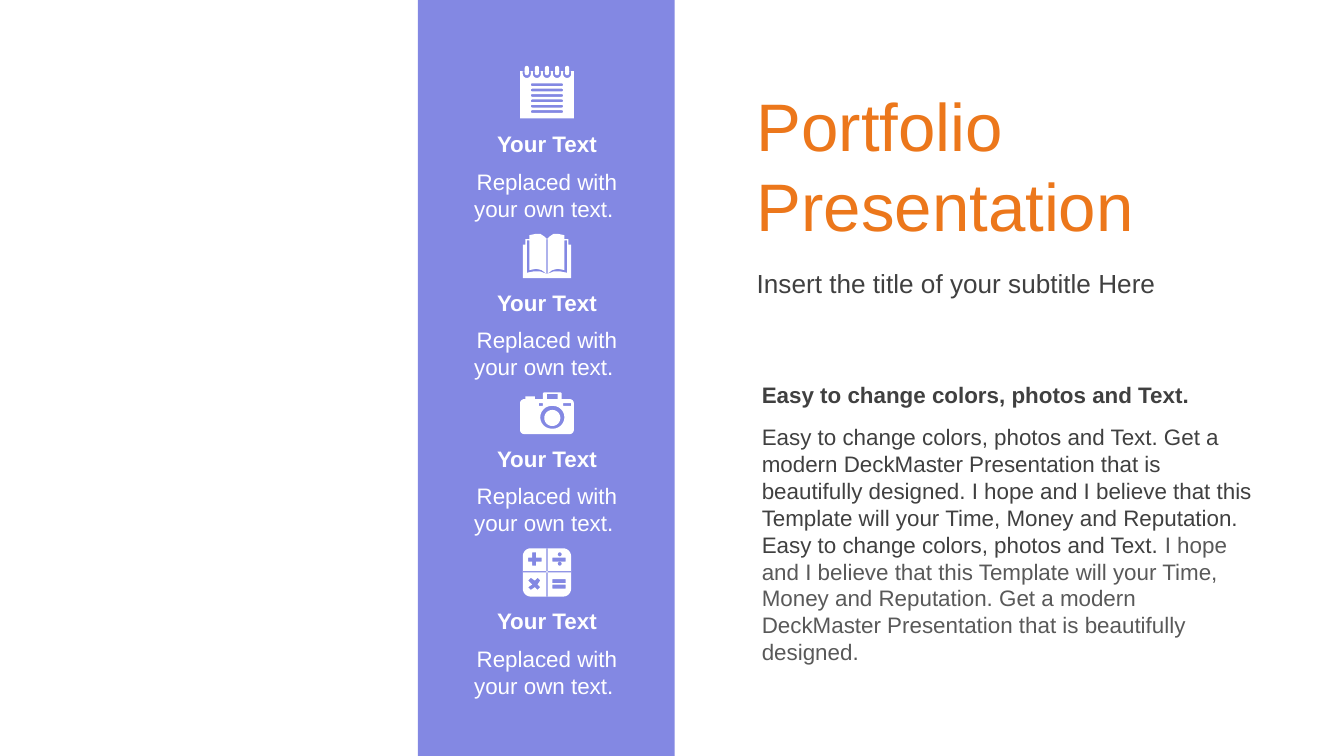
from math import cos, pi, sin

from pptx import Presentation
from pptx.dml.color import RGBColor
from pptx.enum import shapes, text
from pptx.util import Inches, Pt

PANEL, WHITE, ORANGE = "8388E3", "FFFFFF", "EC771B"
DARK, GRAY = "404040", "595959"
color = RGBColor.from_string


def rounded_box(left, top, width, height, radius=0, top_radius=None):
    """Outline points of a box; a full radius makes a circle."""
    if top_radius is None:
        top_radius = radius
    points = []
    for corner, r in enumerate((radius, radius, top_radius, top_radius)):
        x = left + width - r if corner in (0, 3) else left + r
        y = top + height - r if corner < 2 else top + r
        for step in range(7 if r else 1):
            angle = (corner + step / 6) * pi / 2
            points.append((x + r * cos(angle), y + r * sin(angle)))
    return points


def write(shape, box, runs, **settings):
    """Place a text shape and fill it with (wording, colour) runs."""
    shape.left, shape.top, shape.width, shape.height = [Inches(v) for v in box]
    frame = shape.text_frame
    frame.word_wrap = True
    frame.auto_size = text.MSO_AUTO_SIZE.NONE
    frame.vertical_anchor = settings.pop("anchor", text.MSO_ANCHOR.TOP)
    paragraph = frame.paragraphs[0]
    paragraph.alignment = settings.pop("align", text.PP_ALIGN.LEFT)
    paragraph.space_before = Pt(0)
    for wording, run_color in runs:
        run = paragraph.add_run()
        run.text = wording
        for name, value in {"name": "Arial", "size": Pt(12), "bold": False, **settings}.items():
            setattr(run.font, name, value)
        run.font.color.rgb = color(run_color)


# Widescreen 16:9 slide
presentation = Presentation()
presentation.slide_width = Inches(10)
presentation.slide_height = Inches(10 * 9 / 16)
slide = presentation.slides.add_slide(presentation.slide_layouts[0])

# Title and subtitle
title, subtitle = slide.placeholders
write(title, (5.53, 0.51, 3.9, 1.43), [("Portfolio Presentation", ORANGE)],
      size=Pt(36), anchor=text.MSO_ANCHOR.MIDDLE)
write(subtitle, (5.53, 1.95, 3.9, 0.31), [("Insert the title of your subtitle Here", DARK)],
      size=Pt(14), anchor=text.MSO_ANCHOR.MIDDLE)

# Coloured panel
panel = slide.shapes.add_shape(shapes.MSO_SHAPE.RECTANGLE, Inches(3.11), 0,
                               Inches(1.91), presentation.slide_height)
panel.shadow.inherit = False
panel.fill.solid()
panel.fill.fore_color.rgb = color(PANEL)
panel.line.fill.background()

# Icon outlines: an outline inside another one cuts a hole
center = 4.07

notebook = [rounded_box(3.87, 0.53, 0.4, 0.35)]
for line in range(6):
    notebook.append(rounded_box(3.95, 0.62 + 0.04 * line, 0.24, 0.02, 0.01))
for ring in range(-2, 3):
    x = center + 0.075 * ring
    notebook.append(rounded_box(x - 0.03, 0.53, 0.06, 0.05, 0.03, top_radius=0))
    notebook.append(rounded_box(x - 0.015, 0.49, 0.03, 0.07, 0.015))

half_cover = [(4.07, 1.78), (4.09, 1.76), (4.12, 1.74), (4.15, 1.74), (4.2, 1.75), (4.2, 1.78),
              (4.23, 1.78), (4.23, 1.82), (4.25, 1.82), (4.25, 2.07), (4.07, 2.07)]
page_edge = [(4.2, 1.79), (4.22, 1.79), (4.22, 2.03), (4.17, 2.02), (4.12, 2.02),
             (4.07, 2.04), (4.11, 2.01), (4.15, 2), (4.2, 2.01)]
mirrored_cover, mirrored_edge = [[(2 * center - x, y) for x, y in side]
                                 for side in (half_cover, page_edge)]
book = [half_cover + mirrored_cover[::-1], page_edge, mirrored_edge,
        rounded_box(center - 0.005, 1.78, 0.01, 0.26)]

camera = [
    rounded_box(3.87, 2.97, 0.4, 0.26, 0.03),
    rounded_box(3.91, 2.95, 0.07, 0.02),
    rounded_box(4.04, 2.92, 0.14, 0.05, 0, top_radius=0.01),
    rounded_box(4.07, 2.93, 0.08, 0.04),
    rounded_box(4.02, 3.02, 0.18, 0.17, 0.085),
    rounded_box(4.05, 3.05, 0.12, 0.12, 0.06),
    rounded_box(4.01, 3, 0.03, 0.02),
    rounded_box(4.19, 3, 0.06, 0.02),
]

plus = [(3.96, 4.11), (3.99, 4.11), (3.99, 4.15), (4.03, 4.15), (4.03, 4.18), (3.99, 4.18),
        (3.99, 4.21), (3.96, 4.21), (3.96, 4.18), (3.93, 4.18), (3.93, 4.15), (3.96, 4.15)]
times = [(3.95, 4.3), (3.98, 4.32), (4, 4.3), (4.02, 4.32), (4, 4.35), (4.02, 4.37),
         (4, 4.39), (3.98, 4.37), (3.95, 4.39), (3.93, 4.37), (3.96, 4.35), (3.93, 4.32)]
calculator = [
    rounded_box(3.89, 4.08, 0.36, 0.36, 0.06),
    rounded_box(center - 0.005, 4.08, 0.01, 0.36),
    rounded_box(3.89, 4.25, 0.36, 0.01),
    plus, times,
    rounded_box(4.11, 4.15, 0.1, 0.03),
    rounded_box(4.15, 4.11, 0.03, 0.03, 0.015),
    rounded_box(4.15, 4.18, 0.03, 0.03, 0.015),
    rounded_box(4.11, 4.31, 0.1, 0.03),
    rounded_box(4.11, 4.35, 0.1, 0.03),
]

# Icons with their captions
for outlines, caption_top in ((notebook, 0.92), (book, 2.1), (camera, 3.26), (calculator, 4.47)):
    builder = None
    for outline in outlines:
        start, *others = [(Inches(x), Inches(y)) for x, y in outline]
        if builder is None:
            builder = slide.shapes.build_freeform(*start)
        else:
            builder.move_to(*start)
        builder.add_line_segments(others, close=True)
    icon = builder.convert_to_shape()
    icon.shadow.inherit = False
    icon.fill.solid()
    icon.fill.fore_color.rgb = color(WHITE)
    icon.line.fill.background()

    caption = slide.shapes.add_group_shape().shapes
    write(caption.add_textbox(0, 0, 0, 0), (3.41, caption_top + 0.28, 1.32, 0.5),
          [("Replaced with your own text. ", WHITE)], align=text.PP_ALIGN.CENTER)
    write(caption.add_textbox(0, 0, 0, 0), (3.41, caption_top, 1.32, 0.3),
          [("Your Text", WHITE)], align=text.PP_ALIGN.CENTER, bold=True)

# Description
description = slide.shapes.add_group_shape().shapes
write(description.add_textbox(0, 0, 0, 0), (5.57, 3.1, 3.86, 1.92), [
    ("Easy to change colors, photos and Text. Get a modern DeckMaster Presentation that is "
     "beautifully designed. I hope and I believe that this Template will your Time, Money and "
     "Reputation. Easy to change colors, photos and Text. ", DARK),
    ("I hope and I believe that this Template will your Time, Money and Reputation. Get a modern "
     "DeckMaster Presentation that is beautifully designed.", GRAY)])
write(description.add_textbox(0, 0, 0, 0), (5.57, 2.79, 3.86, 0.3),
      [("Easy to change colors, photos and Text.", DARK)], bold=True)

presentation.save("out.pptx")
